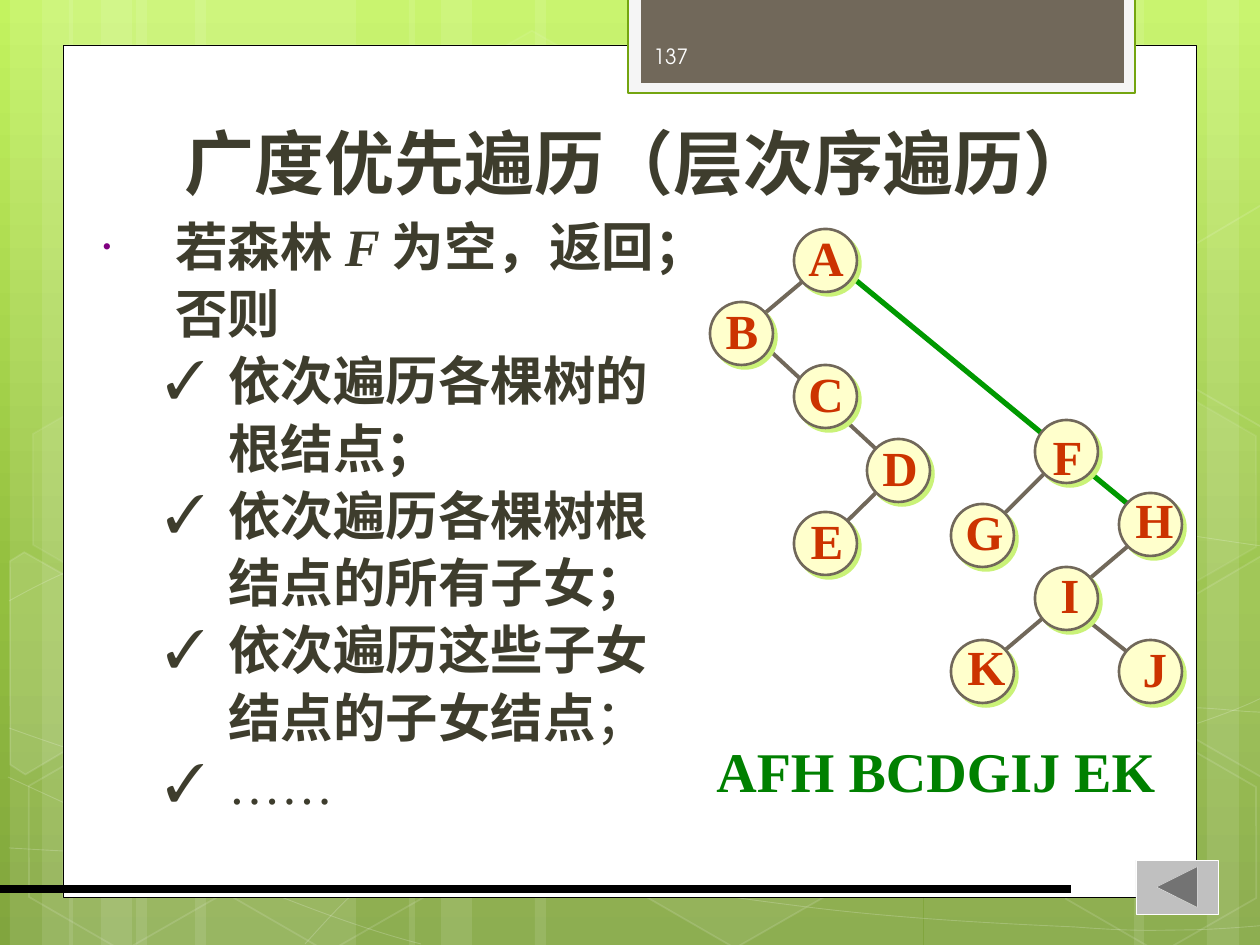
from copy import deepcopy
from math import cos, radians, sin

from lxml.etree import SubElement
from pptx import Presentation
from pptx.dml.color import RGBColor
from pptx.enum.shapes import MSO_CONNECTOR, MSO_SHAPE
from pptx.enum.text import MSO_ANCHOR, PP_ALIGN
from pptx.oxml.ns import qn
from pptx.util import Pt

SCALE = 914400 / 126  # EMU per px


class Theme:
    gradient = ((0, "C3F35F"), (0.62, "93BF3F"), (1, "81A53E"))
    white, black, taupe, ink = "FFFFFF", "000000", "71685A", "3E3D2D"
    tab, tab_line, number, button = "F5F5F5", "74A510", "FEFEFE", "C0C0C0"
    node, shadow, letter, sibling = "FFFFCC", "CAF278", "CC3300", "009900"
    bullet, answer = "800080", "008000"
    heading_font, text_font = "TeX Gyre Adventor", "Times New Roman"
    title_size, answer_size, body_size, letter_size, number_size = 40, 32, 30, 28, 12


# Background: bands (left, width), hexagons (left, top, fill %, line %)
BANDS = [(136, 220), (10, 63), (42, 105), (195, 220), (69, 63), (101, 105),
         (924, 220), (1207, 63), (1134, 105), (535, 388), (409, 63), (441, 105)]
HEXAGONS = [(421, 45, 4, 8), (626, 742, 6, 12), (14, 745, 0, 12), (18, 393, 7, 8),
            (219, 746, 0, 12), (949, 571, 10, 12), (1051, 747, 0, 12), (1051, 396, 7, 8)]
# Hexagons cut by the slide edge: centre, fill %, corners as seen after turning
CUT_HEXAGONS = [
    ((45, 674), 10, [(10, 561), (24, 552), (121, 607), (120, 718), (25, 774), (10, 765)]),
    ((1241, 655), 4, [(1167, 611), (1261, 556), (1271, 562), (1271, 772), (1263, 777), (1167, 722)]),
    ((1241, 304), 0, [(1167, 261), (1261, 205), (1273, 212), (1271, 422), (1263, 427), (1167, 372)]),
]
# Each curve: a start, then two control points and an end for every piece
CURVES = [
    [(9, 848), (77, 852), (145, 856), (239, 854), (334, 853), (451, 851), (577, 838),
     (703, 825), (882, 801), (998, 777), (1113, 753), (1231, 716), (1269, 694)],
    [(9, 601), (45, 581), (82, 562), (152, 543), (224, 524), (326, 496), (437, 488),
     (549, 479), (685, 478), (824, 488), (963, 498), (1193, 537), (1269, 547)],
    [(8, 777), (160, 847), (311, 916), (421, 944)],
    [(9, 728), (48, 742), (88, 756), (161, 776), (234, 795), (344, 827), (450, 848),
     (554, 869), (687, 892), (791, 905), (896, 919), (1008, 924), (1075, 927),
     (1140, 932), (1158, 930), (1191, 930), (1223, 929), (1246, 927), (1269, 925)],
    [(305, 944), (328, 919), (350, 893), (381, 871), (411, 848), (454, 822), (489, 805),
     (524, 788), (546, 780), (592, 767), (638, 754), (722, 737), (766, 728),
     (811, 719), (818, 719), (857, 717), (896, 713), (958, 709), (1000, 708),
     (1045, 707), (1116, 708), (1116, 708), (1144, 708), (1173, 708), (1201, 708),
     (1223, 709), (1245, 712), (1256, 712), (1268, 713), (1264, 712), (1268, 713)],
]

# Tree: letter, circle left and top, label left, top and width
NODES = [("A", 794, 229, 796, 221, 60), ("B", 710, 302, 713, 294, 58),
         ("C", 794, 365, 796, 357, 60), ("D", 867, 439, 870, 431, 60),
         ("E", 794, 512, 798, 504, 58), ("F", 1035, 420, 1040, 420, 55),
         ("G", 951, 504, 953, 495, 63), ("H", 1119, 493, 1123, 483, 63),
         ("I", 1035, 567, 1048, 558, 44), ("K", 951, 640, 955, 630, 63),
         ("J", 1119, 640, 1130, 632, 50)]
ROOT_EDGE = (847, 273, 1140, 514)
EDGES = [(888, 481, 835, 533), (752, 334, 888, 460), (815, 271, 752, 324),
         (1087, 620, 1140, 662), (1140, 536, 1004, 651), (1056, 462, 993, 525)]

# Body lines: bullet, left margin, runs as (text, bold, italic)
BODY = [("•", 73, [("若森林 ", True, False), ("F ", True, True), ("为空，返回；", True, False)]),
        (None, 73, [("否则", True, False)]),
        ("✓", 126, [("依次遍历各棵树的", True, False)]),
        (None, 126, [("根结点；", True, False)]),
        ("✓", 126, [("依次遍历各棵树根", True, False)]),
        (None, 126, [("结点的所有子女；", True, False)]),
        ("✓", 126, [("依次遍历这些子女", True, False)]),
        (None, 126, [("结点的子女结点", True, False), ("；", False, False)]),
        ("✓", 126, [("……", False, False)])]
BULLETS = {"•": (Theme.bullet, 50, 73), "✓": (Theme.ink, 100, 63)}  # colour, size %, hang


def px(*lengths):
    return [round(length * SCALE) for length in lengths]


def style(shape, fill=None, line=None, width=1, fill_alpha=100, line_alpha=100):
    shape.shadow.inherit = False
    for part, value, alpha, owner in ((shape.fill, fill, fill_alpha, "p:spPr"),
                                      (shape.line.fill, line, line_alpha, "p:spPr/a:ln")):
        if not value or not alpha:
            part.background()
            continue
        part.solid()
        part.fore_color.rgb = RGBColor.from_string(value)
        if alpha < 100:
            ink = shape.element.xpath(owner + "/a:solidFill/*")[0]
            SubElement(ink, qn("a:alpha"), val=str(alpha * 1000))
    shape.line.width = Pt(width)


def add_shape(slide, kind, box, **look):
    shape = slide.shapes.add_shape(kind, *px(*box))
    style(shape, **look)
    return shape


def add_path(slide, points, close, **look):
    builder = slide.shapes.build_freeform(*points[0], scale=SCALE)
    builder.add_line_segments(points[1:], close=close)
    shape = builder.convert_to_shape()
    style(shape, **look)
    return shape


def add_curve(slide, points):
    shape = add_path(slide, points, False, line=Theme.white, width=0.5, line_alpha=20)
    outline = shape.element.xpath(".//a:path")[0]
    corners = [segment[0] for segment in outline[1:]]
    for segment in outline[1:]:
        outline.remove(segment)
    for first in range(0, len(corners), 3):
        SubElement(outline, qn("a:cubicBezTo")).extend(corners[first:first + 3])


def add_line(slide, ends, line, width):
    connector = slide.shapes.add_connector(MSO_CONNECTOR.STRAIGHT, *px(*ends))
    connector.line.color.rgb = RGBColor.from_string(line)
    connector.line.width = Pt(width)
    SubElement(connector.element.spPr, qn("a:effectLst"))


def add_frame(slide, box, anchor=MSO_ANCHOR.TOP, wrap=True):
    frame = slide.shapes.add_textbox(*px(*box)).text_frame
    frame.word_wrap, frame.vertical_anchor = wrap, anchor
    return frame


def set_font(font, name, size, ink, bold=None):
    font.name, font.size, font.bold = name, Pt(size), bold
    font.color.rgb = RGBColor.from_string(ink)


def add_label(slide, box, text, font, size, ink, bold=True, align=PP_ALIGN.LEFT, **frame):
    paragraph = add_frame(slide, box, **frame).paragraphs[0]
    paragraph.text, paragraph.alignment = text, align
    set_font(paragraph.font, font, size, ink, bold)


def turn_back(points, center, angle):
    c, s = cos(radians(angle)), sin(radians(angle))
    offsets = [(x - center[0], y - center[1]) for x, y in points]
    return [(center[0] + x * c + y * s, center[1] - x * s + y * c) for x, y in offsets]


def add_background(slide):
    fill = slide.background.fill
    fill.gradient()
    fill.gradient_angle = 270
    stops = slide.element.xpath(".//a:gsLst")[0]
    stops.append(deepcopy(stops[-1]))
    for stop, (position, value) in zip(fill.gradient_stops, Theme.gradient):
        stop.position, stop.color.rgb = position, RGBColor.from_string(value)
    for left, width in BANDS:
        add_shape(slide, MSO_SHAPE.RECTANGLE, (left, 0, width, 945), fill=Theme.white, fill_alpha=10)
    for points in CURVES:
        add_curve(slide, points)
    for left, top, fill_alpha, line_alpha in HEXAGONS:
        hexagon = add_shape(slide, MSO_SHAPE.HEXAGON, (left, top, 220, 192), fill=Theme.white,
                            fill_alpha=fill_alpha, line=Theme.white, line_alpha=line_alpha)
        hexagon.adjustments[0], hexagon.rotation = 0.29, 30
    for center, fill_alpha, points in CUT_HEXAGONS:
        add_path(slide, turn_back(points, center, 30), True, fill=Theme.white,
                 fill_alpha=fill_alpha, line=Theme.white, line_alpha=12).rotation = 30


def add_body(slide):
    frame = add_frame(slide, (90, 215, 678, 635))
    for index, (bullet, margin, runs) in enumerate(BODY):
        paragraph = frame.add_paragraph() if index else frame.paragraphs[0]
        paragraph.line_spacing = 0.9
        properties = paragraph._p.get_or_add_pPr()
        SubElement(SubElement(properties, qn("a:spcBef")), qn("a:spcPct"), val="20000")
        properties.set("marL", str(px(margin)[0]))
        if bullet:
            ink, size, hang = BULLETS[bullet]
            properties.set("indent", str(px(-hang)[0]))
            SubElement(SubElement(properties, qn("a:buClr")), qn("a:srgbClr"), val=ink)
            SubElement(properties, qn("a:buSzPct"), val=str(size * 1000))
            SubElement(properties, qn("a:buFont"), typeface=Theme.text_font)
            SubElement(properties, qn("a:buChar"), char=bullet)
        set_font(paragraph.font, Theme.text_font, Theme.body_size, Theme.ink)
        for text, bold, italic in runs:
            run = paragraph.add_run()
            run.text, run.font.bold, run.font.italic = text, bold, italic


def add_tree(slide):
    add_line(slide, ROOT_EDGE, Theme.sibling, 3)
    for ends in EDGES:
        add_line(slide, ends, Theme.taupe, 2.25)
    for letter, left, top, label_left, label_top, label_width in NODES:
        circle = add_shape(slide, MSO_SHAPE.OVAL, (left, top, 63, 63),
                           fill=Theme.node, line=Theme.taupe, width=1.5)
        shadow = SubElement(circle.element.xpath("p:spPr/a:effectLst")[0], qn("a:outerShdw"),
                            dist=str(Pt(2.8)), dir="2700000", algn="ctr", rotWithShape="0")
        SubElement(shadow, qn("a:srgbClr"), val=Theme.shadow)
        add_label(slide, (label_left, label_top, label_width, 72), letter, Theme.text_font,
                  Theme.letter_size, Theme.letter, align=PP_ALIGN.CENTER,
                  anchor=MSO_ANCHOR.MIDDLE, wrap=False)


def main():
    presentation = Presentation()
    presentation.slide_width, presentation.slide_height = px(1260, 945)
    slide = presentation.slides.add_slide(presentation.slide_layouts[6])
    add_background(slide)
    # Panel, number tab and rule
    for box, look in (((63, 45, 1134, 853), dict(fill=Theme.white, line=Theme.black, width=0.5)),
                      ((628, -3, 507, 96), dict(fill=Theme.tab, line=Theme.tab_line, width=1.25)),
                      ((641, -3, 483, 86), dict(fill=Theme.taupe))):
        add_shape(slide, MSO_SHAPE.RECTANGLE, box, **look)
    add_line(slide, (0, 889, 1071, 889), Theme.black, 4.5)
    # Texts
    add_label(slide, (72, 59, 1134, 151), "广度优先遍历（层次序遍历）", Theme.heading_font,
              Theme.title_size, Theme.ink, align=PP_ALIGN.CENTER, anchor=MSO_ANCHOR.BOTTOM)
    add_body(slide)
    add_label(slide, (641, 31, 184, 50), "137", Theme.heading_font, Theme.number_size,
              Theme.number, bold=False, anchor=MSO_ANCHOR.MIDDLE)
    add_label(slide, (704, 730, 478, 79), "AFH BCDGIJ EK", Theme.text_font,
              Theme.answer_size, Theme.answer)
    # Back button and tree
    add_shape(slide, MSO_SHAPE.ACTION_BUTTON_BACK_OR_PREVIOUS, (1136, 860, 82, 54),
              fill=Theme.button, line=Theme.white, width=0.1)
    add_tree(slide)
    presentation.save("out.pptx")


if __name__ == "__main__":
    main()
